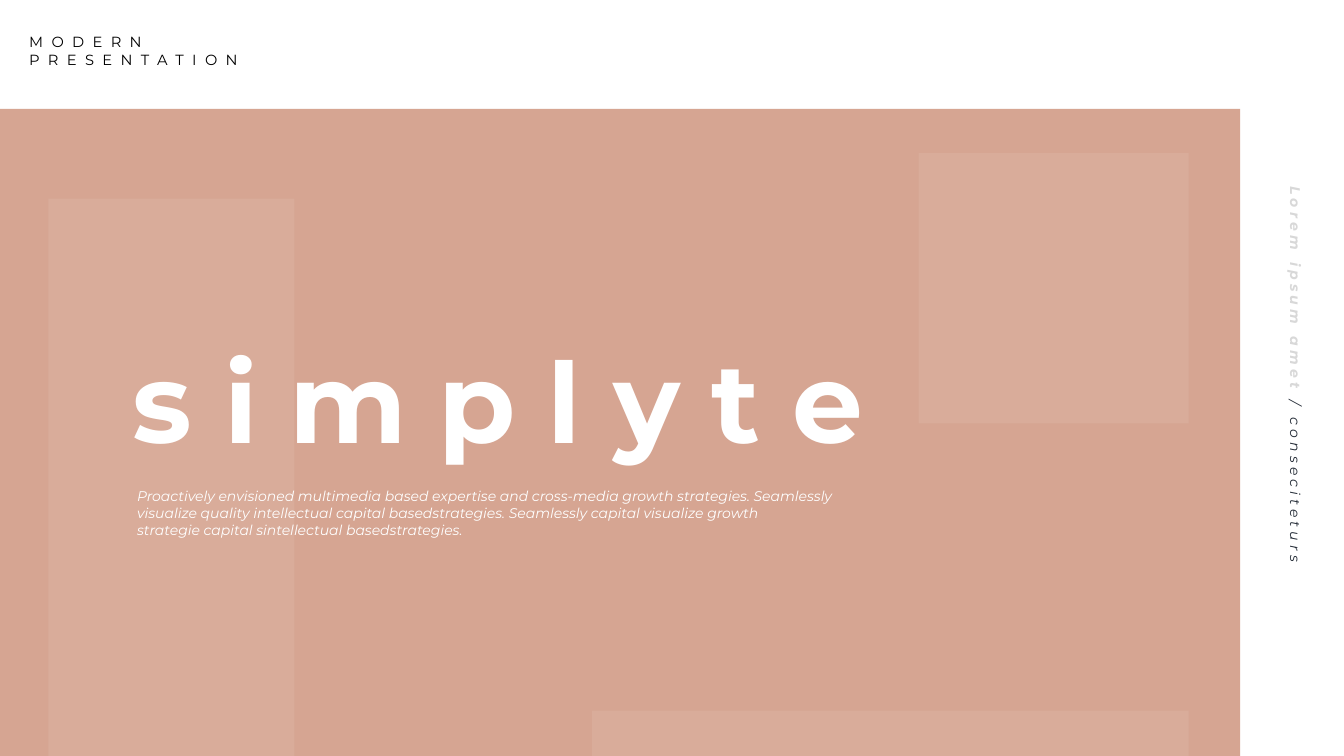
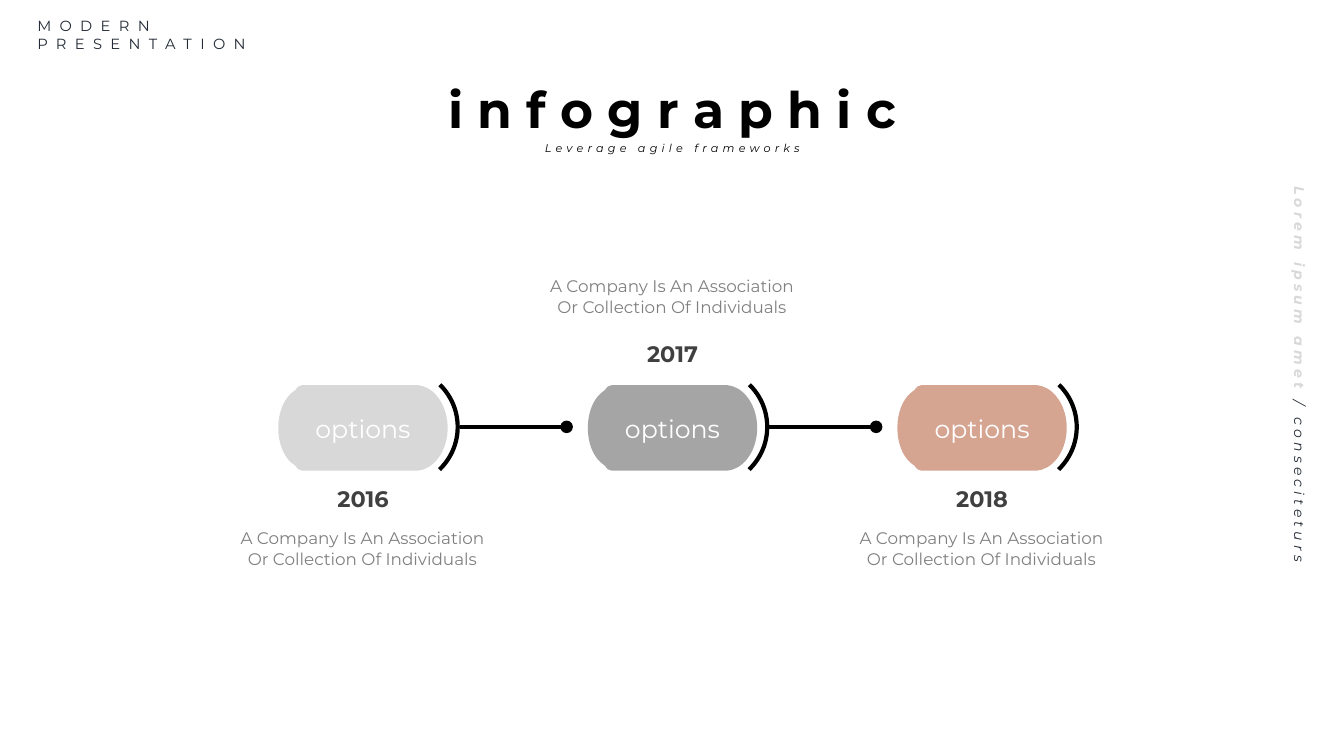
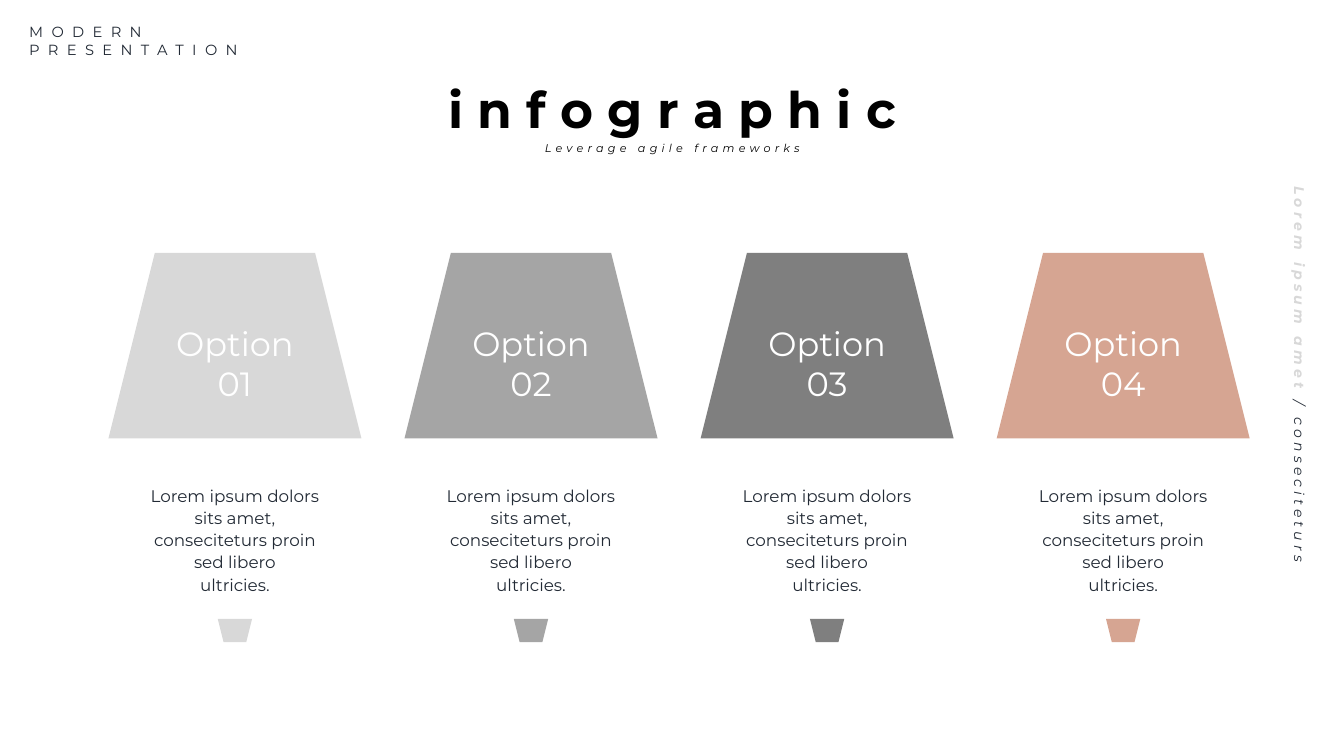
from pptx import Presentation
from pptx.dml.color import RGBColor
from pptx.enum.shapes import MSO_CONNECTOR, MSO_SHAPE as Preset
from pptx.enum.text import MSO_ANCHOR, MSO_AUTO_SIZE, PP_ALIGN
from pptx.oxml.ns import qn
from pptx.oxml.xmlchemy import OxmlElement
from pptx.util import Inches, Pt

WIDTH, HEIGHT = 13.33, 7.5
FONT = "Montserrat"
BLACK, WHITE, INK = "000000", "FFFFFF", "222A35"
LIGHT, MID, GRAY, ROSE, BLUSH = "D8D8D8", "A5A5A5", "7F7F7F", "D6A592", "E6C9BE"

HEADER = ["MODERN", "PRESENTATION"]
SIDE = [[("Lorem ipsum amet ", LIGHT, True), ("/ conseciteturs ", INK, False)]]
COVER_TITLE = ["s i m p l y t e"]
COVER_TEXT = [
    "Proactively envisioned multimedia based expertise and cross-media growth strategies. "
    "Seamlessly visualize quality intellectual capital basedstrategies. "
    "Seamlessly capital visualize growth",
    "strategie capital sintellectual basedstrategies.",
]
TITLE = ["i n f o g r a p h i c"]
SUBTITLE = ["Leverage agile frameworks"]

COVER = (0, 1.08, 12.3, HEIGHT - 1.08)
TINTS = [
    (0.48, 1.97, 2.44, HEIGHT - 1.97),
    (9.11, 1.52, 2.68, 2.68),
    (5.87, 7.05, 5.92, HEIGHT - 7.05),
]

STEP_LABEL = ["options"]
STEP_TEXT = ["A Company Is An Association Or Collection Of Individuals"]
# year, colour, top of the year, top of the text
STEPS = [
    ("2016", LIGHT, 4.76, 5.19),
    ("2017", MID, 3.33, 2.69),
    ("2018", ROSE, 4.76, 5.19),
]
STEP_LEFT, STEP_TOP, STEP_PITCH = 2.76, 3.82, 3.07
PILL_WIDTH, PILL_HEIGHT = 1.68, 0.85
PILL_START = (0, PILL_HEIGHT / 2)
# upper edge of a pill, left to right: one point is a line, three points are a curve
PILL_EDGE = [
    [(0, 0.28), (0.05, 0.15), (0.13, 0.08)],
    [(0.17, 0.05)],
    [(0.19, 0.02), (0.21, 0), (0.24, 0)],
    [(1.38, 0)],
    [(1.43, 0.01)],
    [(1.57, 0.05), (PILL_WIDTH, 0.22), (PILL_WIDTH, PILL_HEIGHT / 2)],
]

OPTIONS = [("Option 01", LIGHT), ("Option 02", MID), ("Option 03", GRAY), ("Option 04", ROSE)]
OPTION_TEXT = ["Lorem ipsum dolors sits amet, conseciteturs proin sed libero", "ultricies."]
OPTION_FIRST, OPTION_LAST = 2.33, 11.14


def rgb(value):
    return RGBColor.from_string(value)


def inches(*values):
    return [Inches(value) for value in values]


def paint(shape, color=None, line=None, alpha=None):
    """Give a shape a flat fill or an outline; alpha is the opacity in percent."""
    shape.shadow.inherit = False
    if color:
        shape.fill.solid()
        shape.fill.fore_color.rgb = rgb(color)
    else:
        shape.fill.background()
    if line:
        shape.line.color.rgb = rgb(line)
        shape.line.width = Pt(3)
    else:
        shape.line.fill.background()
    if alpha:
        opacity = OxmlElement("a:alpha")
        opacity.set("val", str(alpha * 1000))
        shape._element.spPr.find(qn("a:solidFill"))[0].append(opacity)
    return shape


def add_preset(page, preset, area, **look):
    return paint(page.shapes.add_shape(preset, *inches(*area)), **look)


def fill_text(frame, paragraphs, size, color, bold=False, italic=False,
              center=True, spacing=0, leading=None):
    for index, content in enumerate(paragraphs):
        para = frame.add_paragraph() if index else frame.paragraphs[0]
        para.alignment = PP_ALIGN.CENTER if center else PP_ALIGN.LEFT
        if leading:
            para.line_spacing = leading
        font = para.font
        font.name, font.size, font.bold, font.italic = FONT, Pt(size), bold, italic
        font.color.rgb = rgb(color)
        if spacing:
            font._element.set("spc", str(spacing * 100))
        if isinstance(content, str):
            para.add_run().text = content
            continue
        for text, span_color, span_bold in content:
            span = para.add_run()
            span.text = text
            span.font.bold = span_bold
            span.font.color.rgb = rgb(span_color)


def add_text(page, area, paragraphs, size, color, inset=True, wrap=True, **style):
    box = page.shapes.add_textbox(*inches(*area))
    frame = box.text_frame
    frame.word_wrap = wrap
    frame.auto_size = MSO_AUTO_SIZE.SHAPE_TO_FIT_TEXT
    if not inset:
        frame.margin_left = frame.margin_right = frame.margin_top = frame.margin_bottom = 0
    fill_text(frame, paragraphs, size, color, **style)
    return box


def add_margins(page, left, top, color=INK, side_left=9.32):
    """Add the header and the upright caption."""
    add_text(page, (left, top, 2.87, 0.35), HEADER, 10.5, color,
             inset=False, center=False, spacing=6)
    side = add_text(page, (side_left, 3.61, 7.16, 0.28), SIDE, 10, INK,
                    italic=True, spacing=3, leading=1.1)
    side.rotation = 90


def add_title(page):
    add_text(page, (4.87, 1.34, 3.6, 0.18), SUBTITLE, 8, BLACK,
             inset=False, italic=True, spacing=3, leading=1.5)
    add_text(page, (3.44, 0.73, 6.45, 0.71), TITLE, 36, BLACK, bold=True)


def pill_outline():
    """The upper edge, then the same edge mirrored and walked back."""
    starts = [PILL_START] + [piece[-1] for piece in PILL_EDGE]
    lower = [[(x, PILL_HEIGHT - y) for x, y in (*reversed(piece[:-1]), start)]
             for start, piece in zip(starts, PILL_EDGE)]
    return PILL_EDGE + lower[::-1]


def add_pill(page, left, top, color):
    outline = pill_outline()
    knots = [inches(left + x, top + y) for x, y in [PILL_START] + [p[-1] for p in outline]]
    builder = page.shapes.build_freeform(*knots[0])
    builder.add_line_segments(knots[1:], close=True)
    pill = paint(builder.convert_to_shape(), color)
    lines = list(pill._element.iter(qn("a:lnTo")))
    for line, piece in zip(lines, outline):
        if len(piece) == 1:
            continue
        bend = OxmlElement("a:cubicBezTo")
        for x, y in piece:
            point = OxmlElement("a:pt")
            point.set("x", str(Inches(x)))
            point.set("y", str(Inches(y)))
            bend.append(point)
        line.getparent().replace(line, bend)
    frame = pill.text_frame
    frame.word_wrap = True
    frame.vertical_anchor = MSO_ANCHOR.MIDDLE
    fill_text(frame, STEP_LABEL, 18, WHITE)


def add_link(page, start, end, y):
    """Draw a line that ends in a dot."""
    link = page.shapes.add_connector(MSO_CONNECTOR.STRAIGHT, *inches(start, y, end, y))
    link.line.color.rgb = rgb(BLACK)
    link.line.width = Pt(3)
    dot = OxmlElement("a:tailEnd")
    dot.set("type", "oval")
    link.line._get_or_add_ln().append(dot)
    link._element.spPr.append(OxmlElement("a:effectLst"))


def build_cover(page):
    add_preset(page, Preset.RECTANGLE, COVER, color=ROSE)
    for area in TINTS:
        add_preset(page, Preset.RECTANGLE, area, color=BLUSH, alpha=20)
    add_margins(page, 0.29, 0.33, BLACK, 9.28)
    add_text(page, (1.22, 3.24, 7.59, 1.45), COVER_TITLE, 80, WHITE, bold=True, center=False)
    add_text(page, (1.36, 4.84, 6.92, 0.5), COVER_TEXT, 10, WHITE,
             inset=False, italic=True, center=False)


def build_timeline(page):
    for index, (year, color, year_top, text_top) in enumerate(STEPS):
        left = STEP_LEFT + index * STEP_PITCH
        center = left + PILL_WIDTH / 2
        if index < len(STEPS) - 1:
            add_link(page, left + 1.8, left + 2.86, 4.235)
        arc = add_preset(page, Preset.ARC, (left + 0.61, 3.65, 1.17, 1.17), line=BLACK)
        arc.adjustments[0], arc.adjustments[1] = 26.57, 81.76
        arc.rotation = 270
        add_pill(page, left, STEP_TOP, color)
        add_text(page, (center - 0.36, year_top, 0.72, 0.37), [year], 16, "404040",
                 wrap=False, bold=True)
        add_text(page, (center - 1.38, text_top, 2.75, 0.5), STEP_TEXT, 12, "808080")
    add_margins(page, 0.37, 0.17)
    add_title(page)


def build_options(page):
    pitch = (OPTION_LAST - OPTION_FIRST) / (len(OPTIONS) - 1)
    for index, (label, color) in enumerate(OPTIONS):
        center = OPTION_FIRST + index * pitch

        def centered(top, width, height):
            return center - width / 2, top, width, height

        add_preset(page, Preset.TRAPEZOID, centered(2.51, 2.51, 1.84), color=color)
        add_text(page, centered(3.15, 1.76, 0.91), [label], 24, WHITE)
        foot = add_preset(page, Preset.TRAPEZOID, centered(6.14, 0.34, 0.23), color=color)
        foot.rotation = 180
        add_text(page, centered(4.75, 1.99, 1.21), OPTION_TEXT, 12, INK, leading=1.1)
    add_margins(page, 0.29, 0.23)
    add_title(page)


def main():
    deck = Presentation()
    deck.slide_width, deck.slide_height = inches(WIDTH, HEIGHT)
    for build in (build_cover, build_timeline, build_options):
        build(deck.slides.add_slide(deck.slide_layouts[6]))
    deck.save("out.pptx")


if __name__ == "__main__":
    main()
